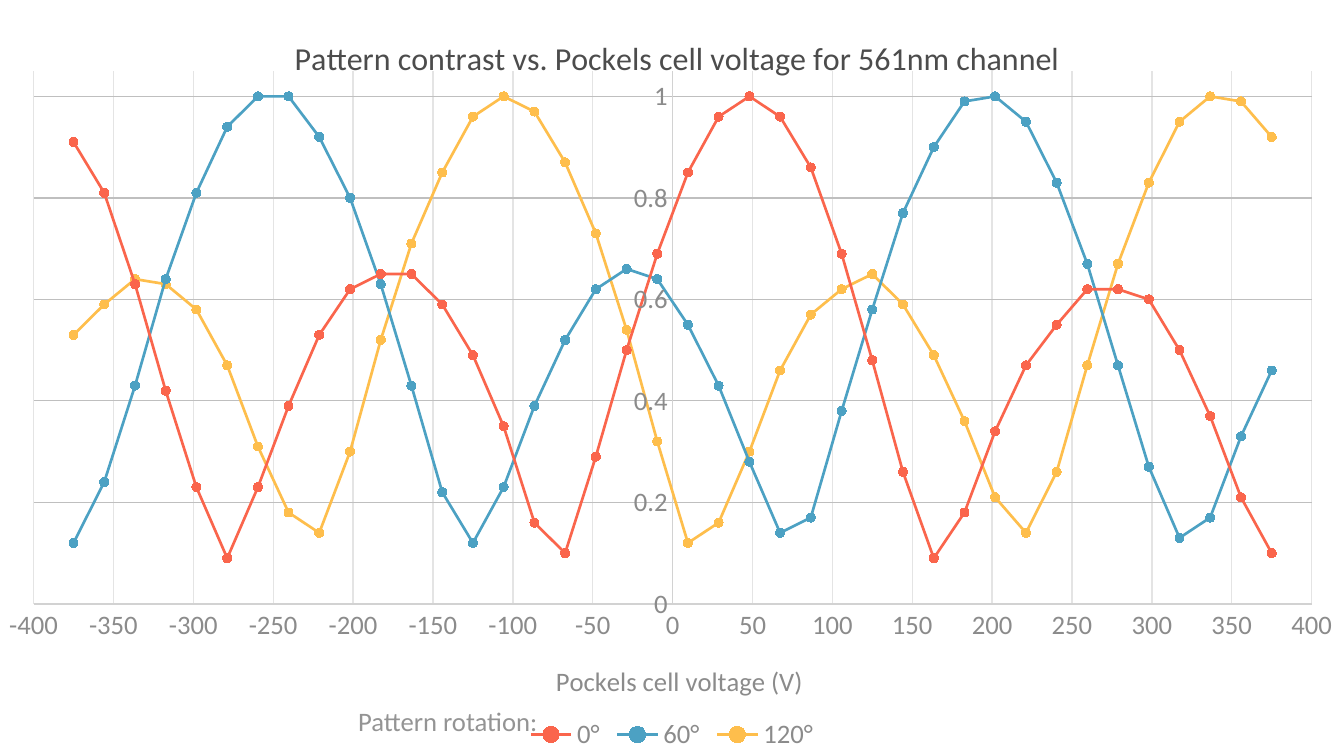
from dataclasses import dataclass

from lxml.etree import SubElement
from pptx import Presentation
from pptx.chart.data import XyChartData
from pptx.dml.color import RGBColor
from pptx.enum.chart import (XL_CHART_TYPE, XL_LEGEND_POSITION, XL_MARKER_STYLE,
                             XL_TICK_MARK)
from pptx.enum.text import MSO_AUTO_SIZE
from pptx.oxml import parse_xml
from pptx.oxml.ns import nsdecls, qn
from pptx.util import Pt


@dataclass(frozen=True)
class Theme:
    font: str = "Calibri"
    title_size: float = 18
    label_size: float = 15
    title: str = "4C4C4C"
    label: str = "8B8B8B"
    caption: str = "949494"
    axis: str = "D2D2D2"
    voltage_grid: str = "E4E4E4"
    contrast_grid: str = "BFBFBF"
    rotations: tuple = ("FA654C", "4CA1C3", "FEBE4C")


WIDTH, HEIGHT = 756, 425.5

# Voltages run in equal steps from -375 V to 375 V
STEPS = 39
VOLTAGES = [round(-375 + 750 * step / STEPS, 1) for step in range(STEPS + 1)]
CONTRAST = {
    "0°": [0.91, 0.81, 0.63, 0.42, 0.23, 0.09, 0.23, 0.39, 0.53, 0.62,
           0.65, 0.65, 0.59, 0.49, 0.35, 0.16, 0.1, 0.29, 0.5, 0.69,
           0.85, 0.96, 1, 0.96, 0.86, 0.69, 0.48, 0.26, 0.09, 0.18,
           0.34, 0.47, 0.55, 0.62, 0.62, 0.6, 0.5, 0.37, 0.21, 0.1],
    "60°": [0.12, 0.24, 0.43, 0.64, 0.81, 0.94, 1, 1, 0.92, 0.8,
            0.63, 0.43, 0.22, 0.12, 0.23, 0.39, 0.52, 0.62, 0.66, 0.64,
            0.55, 0.43, 0.28, 0.14, 0.17, 0.38, 0.58, 0.77, 0.9, 0.99,
            1, 0.95, 0.83, 0.67, 0.47, 0.27, 0.13, 0.17, 0.33, 0.46],
    "120°": [0.53, 0.59, 0.64, 0.63, 0.58, 0.47, 0.31, 0.18, 0.14, 0.3,
             0.52, 0.71, 0.85, 0.96, 1, 0.97, 0.87, 0.73, 0.54, 0.32,
             0.12, 0.16, 0.3, 0.46, 0.57, 0.62, 0.65, 0.59, 0.49, 0.36,
             0.21, 0.14, 0.26, 0.47, 0.67, 0.83, 0.95, 1, 0.99, 0.92],
}


def format_font(font, theme, size, color):
    font.name = theme.font
    font.size = Pt(size)
    font.bold = False
    font.color.rgb = RGBColor.from_string(color)


def write_text(text_frame, text, *, theme, size, color):
    paragraph = text_frame.paragraphs[0]
    run = paragraph.add_run()
    run.text = text
    format_font(run.font, theme, size, color)


def format_line(line, color, width=0.75):
    line.color.rgb = RGBColor.from_string(color)
    line.width = Pt(width)


def place(element, **fractions):
    """Give a chart part a manual layout in fractions of the chart."""
    previous = element.find(qn("c:layout"))
    if previous is not None:
        element.remove(previous)
    layout = parse_xml(f"<c:layout {nsdecls('c')}><c:manualLayout/></c:layout>")
    manual = layout[0]
    if "w" in fractions:
        SubElement(manual, qn("c:layoutTarget"), val="inner")
    for mode in ("xMode", "yMode"):
        SubElement(manual, qn(f"c:{mode}"), val="edge")
    for name, value in fractions.items():
        SubElement(manual, qn(f"c:{name}"), val=str(value))
    element.insert(0 if element.find(qn("c:tx")) is None else 1, layout)


class SlideBuilder:
    def __init__(self, slide, theme):
        self.slide = slide
        self.theme = theme

    def title(self, title, text, size, color, x, y):
        write_text(title.text_frame, text, theme=self.theme, size=size, color=color)
        place(title._element, x=x, y=y)

    def axis(self, axis, low, high, step, grid):
        axis.minimum_scale, axis.maximum_scale = low, high
        axis.major_unit = step
        axis.major_tick_mark = axis.minor_tick_mark = XL_TICK_MARK.NONE
        axis.has_major_gridlines = True
        format_line(axis.major_gridlines.format.line, grid)
        format_line(axis.format.line, self.theme.axis)
        format_font(axis.tick_labels.font, self.theme,
                    self.theme.label_size, self.theme.label)
        axis.tick_labels.number_format = "General"
        axis.tick_labels.number_format_is_linked = False

    def series(self, series, color):
        series.smooth = True
        format_line(series.format.line, color, 1.5)
        series.marker.style = XL_MARKER_STYLE.CIRCLE
        series.marker.size = 5
        series.marker.format.fill.solid()
        series.marker.format.fill.fore_color.rgb = RGBColor.from_string(color)
        format_line(series.marker.format.line, color)

    def contrast_chart(self):
        theme = self.theme
        data = XyChartData()
        for rotation, contrasts in CONTRAST.items():
            curve = data.add_series(rotation)
            for voltage, contrast in zip(VOLTAGES, contrasts):
                curve.add_data_point(voltage, contrast)
        chart = self.slide.shapes.add_chart(
            XL_CHART_TYPE.XY_SCATTER_SMOOTH, Pt(0), Pt(0), Pt(WIDTH), Pt(HEIGHT),
            data).chart
        format_font(chart.font, theme, 10, theme.title)

        # Curves
        plot = chart.plots[0]
        plot.vary_by_categories = False
        for series, color in zip(plot.series, theme.rotations):
            self.series(series, color)
        plot_area = chart._chartSpace.find(".//" + qn("c:plotArea"))
        place(plot_area, x=0.025, y=0.094, w=0.951, h=0.705)

        # Axes and titles
        self.axis(chart.category_axis, -400, 400, 50, theme.voltage_grid)
        self.axis(chart.value_axis, 0, 1.05, 0.2, theme.contrast_grid)
        chart.value_axis.has_title = False
        chart.has_title = True
        self.title(chart.chart_title,
                   "Pattern contrast vs. Pockels cell voltage for 561nm channel",
                   theme.title_size, theme.title, 0.215, 0.04)
        self.title(chart.category_axis.axis_title, "Pockels cell voltage (V)",
                   theme.label_size, theme.label, 0.41, 0.87)

        # Legend
        chart.has_legend = True
        chart.legend.position = XL_LEGEND_POSITION.BOTTOM
        chart.legend.include_in_layout = False
        format_font(chart.legend.font, theme, theme.label_size, theme.label)

    def caption(self, text, left, top, width, height):
        box = self.slide.shapes.add_textbox(Pt(left), Pt(top), Pt(width), Pt(height))
        box.text_frame.word_wrap = False
        box.text_frame.auto_size = MSO_AUTO_SIZE.SHAPE_TO_FIT_TEXT
        write_text(box.text_frame, text, theme=self.theme,
                   size=self.theme.label_size, color=self.theme.caption)


def main():
    presentation = Presentation()
    presentation.slide_width, presentation.slide_height = Pt(WIDTH), Pt(HEIGHT)
    slide = presentation.slides.add_slide(presentation.slide_layouts[6])
    builder = SlideBuilder(slide, Theme())
    builder.contrast_chart()
    builder.caption("Pattern rotation:", 194.4, 393.1, 116.6, 25.2)
    presentation.save("out.pptx")


if __name__ == "__main__":
    main()
